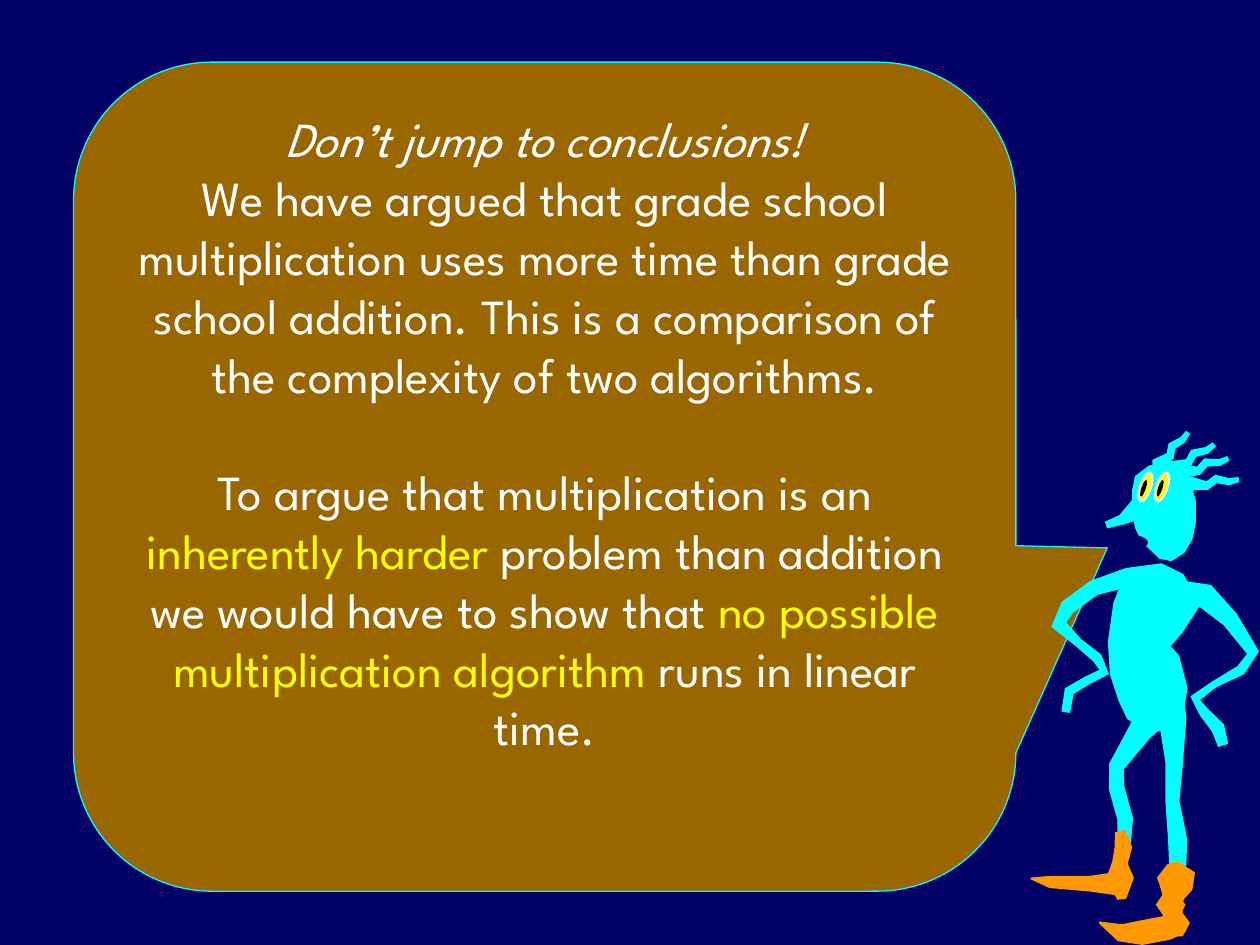
from dataclasses import dataclass
from math import hypot

from pptx import Presentation
from pptx.dml.color import RGBColor
from pptx.enum.shapes import MSO_SHAPE
from pptx.enum.text import MSO_ANCHOR, PP_ALIGN
from pptx.util import Pt

CALLOUT = MSO_SHAPE.ROUNDED_RECTANGULAR_CALLOUT
OVAL = MSO_SHAPE.OVAL
CENTER = PP_ALIGN.CENTER
TOP = MSO_ANCHOR.TOP


@dataclass(frozen=True)
class Theme:
    background: RGBColor = RGBColor(0x00, 0x00, 0x66)
    bubble: RGBColor = RGBColor(0x99, 0x66, 0x00)
    body: RGBColor = RGBColor(0x00, 0xFF, 0xFF)
    boot: RGBColor = RGBColor(0xFF, 0x99, 0x00)
    text: RGBColor = RGBColor(0xFF, 0xFF, 0xFF)
    accent: RGBColor = RGBColor(0xFF, 0xFF, 0x00)
    pupil: RGBColor = RGBColor(0x00, 0x00, 0x00)
    font: str = "League Spartan"
    text_size: float = 28
    line_height: float = 33.5


THEME = Theme()

# Each body part is a chain of joints: x, y and thickness, in points.
BODY = {
    "torso": [(670, 325, 14), (665, 335, 47), (656, 353, 43), (651, 368, 36),
              (654, 380, 41), (659, 397, 40), (660, 410, 32), (660, 418, 11)],
    "right arm": [(677, 336, 8), (688, 340, 14), (703, 354, 10), (716, 373, 7),
                  (709, 383, 6), (694, 391, 4), (683, 399, 6), (688, 407, 6),
                  (696, 416, 8), (699, 426, 6)],
    "left arm": [(664, 332, 10), (644, 330, 11), (625, 336, 9), (610, 347, 9),
                 (605, 357, 9), (616, 367, 5), (627, 376, 6), (631, 384, 6),
                 (621, 389, 5), (611, 395, 6), (609, 407, 5)],
    "right leg": [(670, 396, 12), (670, 410, 16), (671, 436, 10), (670, 458, 8),
                  (673, 480, 11), (673, 504, 9), (671, 522, 9)],
    "left leg": [(670, 401, 15), (652, 417, 14), (638, 438, 9), (638, 450, 9),
                 (643, 468, 9), (642, 490, 7)],
    "head": [(663, 265, 13), (664, 271, 31), (664, 279, 34), (665, 288, 37),
             (666, 300, 35), (667, 309, 29), (667, 315, 20), (666, 320, 7)],
    "nose": [(650, 291, 12), (641, 297, 6), (632, 300, 4)],
}
BOOTS = {
    "right shaft": [(670, 493, 6), (672, 500, 22), (672, 507, 19), (670, 513, 12),
                    (669, 517, 17), (670, 522, 11), (671, 528, 18), (671, 535, 10)],
    "right sole": [(628, 527, 1), (640, 533, 10), (652, 533, 14), (668, 530, 14),
                   (677, 530, 6)],
    "left shaft": [(640, 475, 6), (642, 484, 10), (640, 493, 9), (640, 502, 16),
                   (641, 514, 5)],
    "left sole": [(589, 502, 1), (600, 504, 7), (623, 505, 9), (640, 505, 14)],
}

# Every strand has the same wave: share of its length, sideways share, thickness.
HAIR_WAVE = [(0, 0, 7), (0.17, 0.12, 8), (0.42, 0.02, 5), (0.6, 0.1, 5),
             (0.82, 0, 4), (1, 0, 3)]
HAIR_ROOTS_AND_TIPS = [((677, 281), (708, 274)), ((673, 275), (702, 262)),
                       ((669, 273), (694, 254)), ((662, 271), (679, 247))]


def paint(shape, fill, line=None, line_width=1):
    shape.shadow.inherit = False
    shape.fill.solid()
    shape.fill.fore_color.rgb = fill
    if line is None:
        shape.line.fill.background()
    else:
        shape.line.color.rgb = line
        shape.line.width = Pt(line_width)


def add_limb(shapes, joints, fill):
    """Draw a chain of joints as one outline, half the thickness to each side."""
    left_side, right_side = [], []
    for index, (x, y, thickness) in enumerate(joints):
        before = joints[max(index - 1, 0)]
        after = joints[min(index + 1, len(joints) - 1)]
        run, rise = after[0] - before[0], after[1] - before[1]
        reach = thickness / 2 / hypot(run, rise)
        left_side.append((Pt(x + rise * reach), Pt(y - run * reach)))
        right_side.append((Pt(x - rise * reach), Pt(y + run * reach)))
    start, *rest = left_side + right_side[::-1]
    builder = shapes.build_freeform(*start)
    builder.add_line_segments(rest, close=True)
    paint(builder.convert_to_shape(), fill)


def hair_joints(root, tip):
    """Lay the common wave along the line from root to tip."""
    (x, y), (tip_x, tip_y) = root, tip
    run, rise = tip_x - x, tip_y - y
    return [(x + along * run + aside * rise, y + along * rise - aside * run, thickness)
            for along, aside, thickness in HAIR_WAVE]


def add_oval(shapes, center_x, center_y, width, height, fill, line=None, rotation=0):
    oval = shapes.add_shape(OVAL, Pt(center_x - width / 2), Pt(center_y - height / 2),
                            Pt(width), Pt(height))
    oval.rotation = rotation
    paint(oval, fill, line)


def style_paragraph(paragraph):
    paragraph.alignment = CENTER
    paragraph.font.name = THEME.font
    paragraph.font.size = Pt(THEME.text_size)
    paragraph.font.color.rgb = THEME.text


def add_run(paragraph, text):
    run = paragraph.add_run()
    run.text = text
    return run


def add_speech(shapes):
    bubble = shapes.add_shape(CALLOUT, Pt(42), Pt(35.5), Pt(538.5), Pt(473.75))
    for index, value in enumerate((0.597, 0.086, 0.167)):
        bubble.adjustments[index] = value
    paint(bubble, THEME.bubble, THEME.body, 0.75)
    frame = bubble.text_frame
    frame.word_wrap = True
    frame.vertical_anchor = TOP

    warning = frame.paragraphs[0]
    style_paragraph(warning)
    add_run(warning, "Don’t jump to conclusions!").font.italic = True
    warning.add_line_break()
    add_run(warning, "We have argued that grade school multiplication uses more time than "
                     "grade school addition. This is a comparison of the complexity of two "
                     "algorithms.")

    argument = frame.add_paragraph()
    style_paragraph(argument)
    argument.space_before = Pt(THEME.line_height)
    for text, stressed in (
            ("To argue that multiplication is an ", False),
            ("inherently harder", True),
            (" problem than addition we would have to show that ", False),
            ("no possible multiplication algorithm", True),
            (" runs in linear time.", False)):
        run = add_run(argument, text)
        if stressed:
            run.font.color.rgb = THEME.accent


def add_face(shapes):
    tilt = 288.6
    for eye_x in (654.5, 664):
        add_oval(shapes, eye_x, 278.25, 17.25, 6.5, THEME.accent, THEME.text, tilt)
        add_oval(shapes, eye_x - 1, 279, 10, 2.5, THEME.pupil, rotation=tilt)
    mouth_x, mouth_y = 643.75, 310
    add_oval(shapes, mouth_x, mouth_y, 24.5, 9.5, THEME.background)


def add_speaker(shapes):
    figure = shapes.add_group_shape().shapes
    for joints in BODY.values():
        add_limb(figure, joints, THEME.body)
    for root, tip in HAIR_ROOTS_AND_TIPS:
        add_limb(figure, hair_joints(root, tip), THEME.body)
    add_face(figure)
    for joints in BOOTS.values():
        add_limb(figure, joints, THEME.boot)


def main():
    deck = Presentation()
    deck.slide_width, deck.slide_height = Pt(720), Pt(540)
    slide = deck.slides.add_slide(deck.slide_layouts[6])
    slide.background.fill.solid()
    slide.background.fill.fore_color.rgb = THEME.background
    add_speech(slide.shapes)
    add_speaker(slide.shapes)
    deck.save("out.pptx")


if __name__ == "__main__":
    main()
